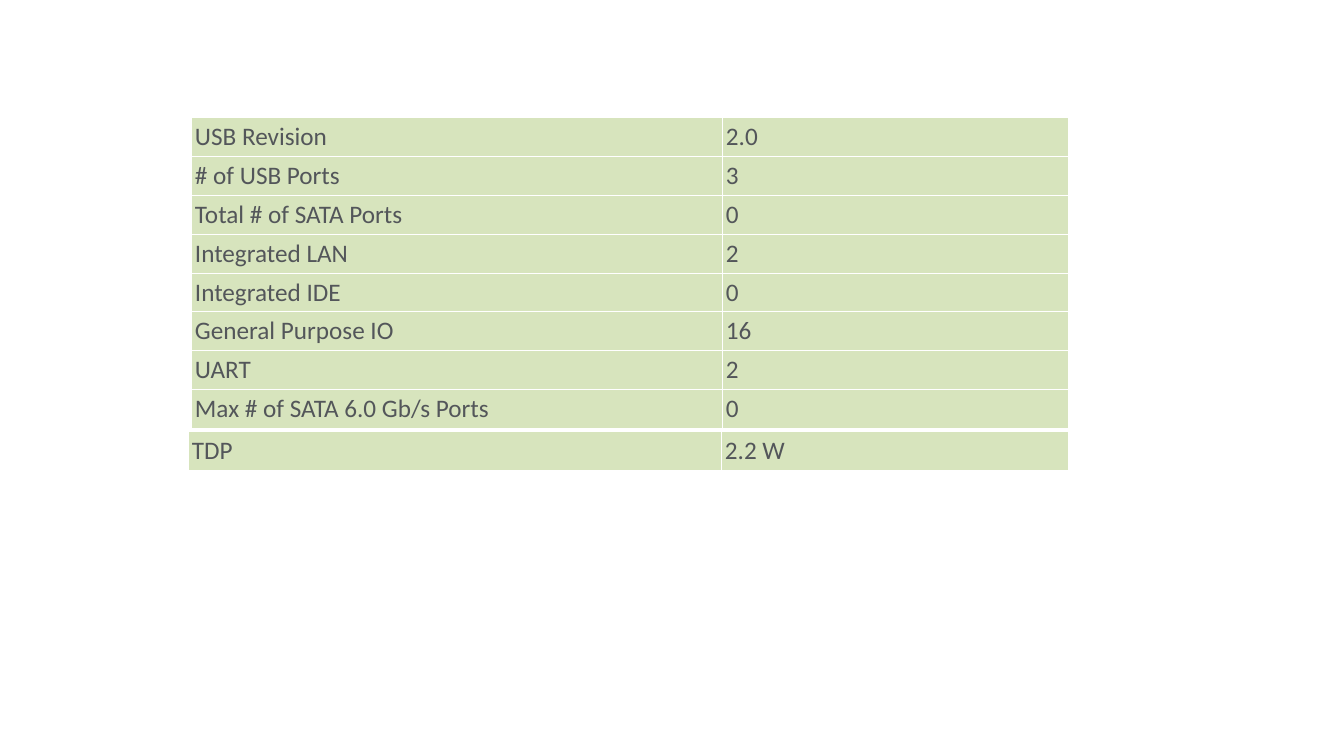
from lxml import etree
from pptx import Presentation
from pptx.dml.color import RGBColor
from pptx.enum.text import MSO_ANCHOR
from pptx.oxml.ns import qn
from pptx.util import Pt

MIDDLE = MSO_ANCHOR.MIDDLE
EMU_PER_PX = 12192000 / 1344
WHITE = RGBColor(0xFF, 0xFF, 0xFF)
PALE_GREEN = RGBColor(0xD7, 0xE4, 0xBD)
SLATE = RGBColor(0x53, 0x56, 0x5A)

ROW_HEIGHT = 39
INTERFACES = [
    ("USB Revision", "2.0"),
    ("# of USB Ports", "3"),
    ("Total # of SATA Ports", "0"),
    ("Integrated LAN", "2"),
    ("Integrated IDE", "0"),
    ("General Purpose IO", "16"),
    ("UART", "2"),
    ("Max # of SATA 6.0 Gb/s Ports", "0"),
]
POWER = [("TDP", "2.2 W")]


def px(length):
    """Turn pixels into EMU."""
    return round(length * EMU_PER_PX)


class SpecSlide:
    """Holds the style and the current slide."""

    font, size, inset, border = "Calibri", Pt(18), px(4), Pt(0.6)

    def __init__(self, deck):
        """Add a blank slide to the deck."""
        self.slide = deck.slides.add_slide(deck.slide_layouts[6])

    def table(self, left, top, widths, rows):
        """Draw a plain table of text rows."""
        frame = self.slide.shapes.add_table(
            len(rows), len(widths), px(left), px(top),
            px(sum(widths)), px(ROW_HEIGHT * len(rows)))
        grid = frame.table
        grid.first_row = grid.horz_banding = False
        for column, width in zip(grid.columns, widths):
            column.width = px(width)
        for row, texts in zip(grid.rows, rows):
            row.height = px(ROW_HEIGHT)
            for cell, text in zip(row.cells, texts):
                self.cell(cell, text)

    def cell(self, cell, text):
        """Style one cell and write its text."""
        cell.margin_left = cell.margin_right = self.inset
        cell.margin_top = cell.margin_bottom = self.inset
        cell.vertical_anchor = MIDDLE
        self.borders(cell)
        cell.fill.solid()
        cell.fill.fore_color.rgb = PALE_GREEN
        run = cell.text_frame.paragraphs[0].add_run()
        run.text = text
        run.font.name = self.font
        run.font.size = self.size
        run.font.color.rgb = SLATE

    def borders(self, cell):
        """Put a thin white line on each side of a cell, ahead of its fill."""
        properties = cell._tc.get_or_add_tcPr()
        for side in ("a:lnL", "a:lnR", "a:lnT", "a:lnB"):
            line = etree.SubElement(properties, qn(side), w=str(self.border))
            fill = etree.SubElement(line, qn("a:solidFill"))
            etree.SubElement(fill, qn("a:srgbClr"), val=str(WHITE))


def build():
    """Build the slide and save it."""
    deck = Presentation()
    deck.slide_width, deck.slide_height = px(1344), px(756)
    specs = SpecSlide(deck)
    specs.table(191, 117, (531, 346), INTERFACES)
    specs.table(188, 431, (533, 347), POWER)
    deck.save("out.pptx")


build()
